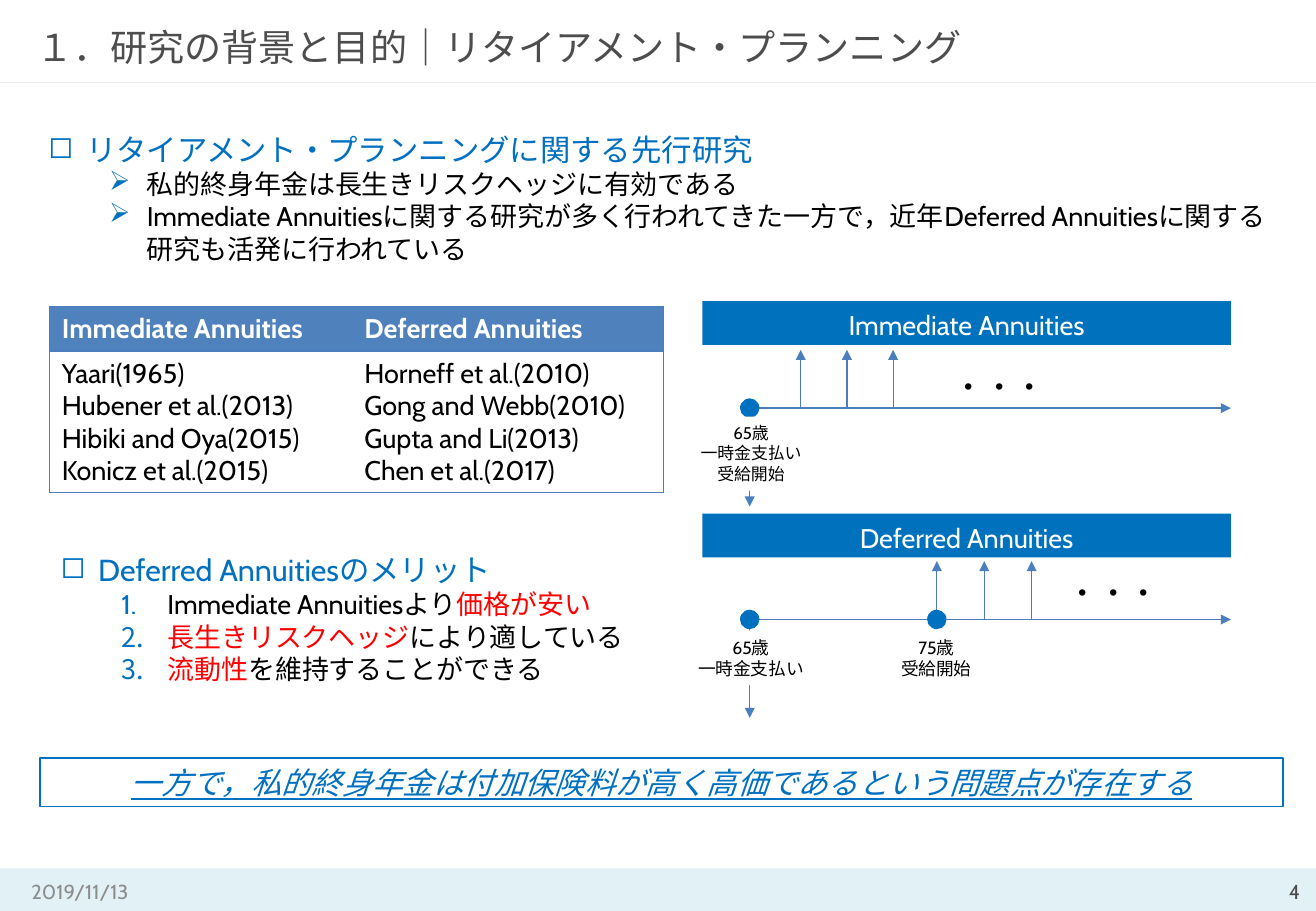
"""Build the slide on retirement planning and its two kinds of annuities."""
import pptx
import pptx.dml.color
import pptx.enum.shapes
import pptx.enum.text
import pptx.oxml
import pptx.oxml.ns
import pptx.util

Inches = pptx.util.Inches
Pt = pptx.util.Pt
SHAPE = pptx.enum.shapes.MSO_SHAPE
ALIGN = pptx.enum.text.PP_ALIGN
ANCHOR = pptx.enum.text.MSO_ANCHOR
NS = pptx.oxml.ns.nsdecls("a")

COLORS = {
    "blue": "0070C0", "bar": "0071BC", "line": "4B7EBC", "header": "4F81BD",
    "title": "4D4D4D", "date": "8C8C8C", "rule": "EAEAEA", "footer": "DBEEF4",
    "red": "FF0000", "black": "000000", "white": "FFFFFF",
}
BOX = {"word_wrap": True, "vertical_anchor": ANCHOR.TOP}
FLAT = {"margin_left": 0, "margin_right": 0, "margin_top": 0, "margin_bottom": 0,
        "vertical_anchor": ANCHOR.MIDDLE}
BAR = {**FLAT, "margin_top": Inches(0.06), "margin_bottom": Inches(0.03)}
SQUARE = ('<a:buChar char="◻"/>', 0.31, 0.31)
ARROW = ('<a:buChar char="➢"/>', 0.81, 0.31)
NUMBER = ('<a:buAutoNum type="arabicPeriod"/>', 0.88, 0.38)


def rgb(name):
    return pptx.dml.color.RGBColor.from_string(COLORS[name])


def apply(obj, values):
    for name, value in values.items():
        setattr(obj, name, value)


def add_xml(parent, xml):
    element = pptx.oxml.parse_xml(xml)
    parent.append(element)
    return element


def add_bullet(p, bullet):
    mark, left, hang = bullet
    pPr = p._p.get_or_add_pPr()
    pPr.set("marL", str(Inches(left)))
    pPr.set("indent", str(-Inches(hang)))
    add_xml(pPr, f'<a:buClr {NS}><a:srgbClr val="{COLORS["blue"]}"/></a:buClr>')
    add_xml(pPr, mark.replace(" ", f" {NS} ", 1))


def write(tf, paragraphs, size, color="black", align=ALIGN.LEFT, frame=BOX, **font):
    """Fill a frame with paragraphs, each a string or a list of (text, colour) runs."""
    apply(tf, {**BOX, **frame})
    for i, runs in enumerate(paragraphs):
        p = tf.paragraphs[0] if i == 0 else tf.add_paragraph()
        p.alignment = align
        add_runs(p, [(runs, color)] if isinstance(runs, str) else runs, size, **font)


def add_runs(p, runs, size, **font):
    for text, color in runs:
        r = p.add_run()
        r.text = text
        apply(r.font, {"name": "Cabin", "size": Pt(size), **font})
        r.font.color.rgb = rgb(color)


def add_text(s, box, paragraphs, size, **style):
    sp = s.shapes.add_textbox(*map(Inches, box))
    write(sp.text_frame, paragraphs, size, **style)


def add_list(s, box, items):
    """Add a bulleted list of (bullet, size, runs) items."""
    tf = s.shapes.add_textbox(*map(Inches, box)).text_frame
    apply(tf, BOX)
    for i, (bullet, size, runs) in enumerate(items):
        p = tf.paragraphs[0] if i == 0 else tf.add_paragraph()
        add_bullet(p, bullet)
        add_runs(p, runs, size)


def add_shape(s, kind, box, fill=None, line=None):
    sp = s.shapes.add_shape(kind, *map(Inches, box))
    sp.shadow.inherit = False
    if fill:
        sp.fill.solid()
        sp.fill.fore_color.rgb = rgb(fill)
    else:
        sp.fill.background()
    if line:
        sp.line.color.rgb = rgb(line)
        sp.line.width = Pt(0.75)
    else:
        sp.line.fill.background()
    return sp


def add_line(s, x1, y1, x2, y2, color="line", arrow=True):
    straight = pptx.enum.shapes.MSO_CONNECTOR.STRAIGHT
    cn = s.shapes.add_connector(straight, *map(Inches, (x1, y1, x2, y2)))
    cn.line.color.rgb = rgb(color)
    cn.line.width = Pt(0.75)
    if arrow:
        add_xml(cn.line._get_or_add_ln(), f'<a:tailEnd {NS} type="triangle"/>')
    add_xml(cn._element.spPr, f"<a:effectLst {NS}/>")


def add_dot(s, x, y):
    add_shape(s, SHAPE.OVAL, (x - 0.08, y - 0.08, 0.16, 0.16), "blue")


def add_timeline(s, name, bar_top, axis, payouts, dots, label, label_box, size):
    """Add a titled time axis with payment arrows and a label at its start."""
    add_line(s, 6.17, axis, 6.17, axis + 0.81)
    add_line(s, 6.09, axis, 10.13, axis)
    add_dot(s, 6.17, axis)
    first, step = payouts
    for i in range(3):
        x = first + i * step
        add_line(s, x, axis, x, axis - 0.48)
    add_text(s, (*dots, 0.96, 0.4), ["・・・"], 18)
    sp = add_shape(s, SHAPE.RECTANGLE, label_box, "white")
    write(sp.text_frame, label, size, align=ALIGN.CENTER)
    sp = add_shape(s, SHAPE.RECTANGLE, (5.78, bar_top, 4.35, 0.36), "bar")
    write(sp.text_frame, [name], 16, "white", ALIGN.CENTER, BAR)
    sp.text_frame.paragraphs[0].space_after = Pt(4.5)


def add_cell_border(cell, sides):
    tcPr = cell._tc.get_or_add_tcPr()
    fill = f'<a:solidFill><a:srgbClr val="{COLORS["line"]}"/></a:solidFill>'
    for i, side in enumerate("LRTB"):
        body = fill if side in sides else "<a:noFill/>"
        tcPr.insert(i, pptx.oxml.parse_xml(f'<a:ln{side} {NS} w="9525">{body}</a:ln{side}>'))


def add_studies(s):
    columns = {
        "Immediate Annuities": ["Yaari(1965)", "Hubener et al.(2013)",
                                "Hibiki and Oya(2015)", "Konicz et al.(2015)"],
        "Deferred Annuities": ["Horneff et al.(2010)", "Gong and Webb(2010)",
                               "Gupta and Li(2013)", "Chen et al.(2017)"],
    }
    table = s.shapes.add_table(2, 2, *map(Inches, (0.41, 2.52, 5.05, 1.53))).table
    for row, height in zip(table.rows, (0.37, 1.16)):
        row.height = Inches(height)
    for c, (name, studies) in enumerate(columns.items()):
        table.columns[c].width = Inches((2.49, 2.56)[c])
        for r, lines in enumerate(([name], studies)):
            cell = table.cell(r, c)
            cell.fill.solid()
            cell.fill.fore_color.rgb = rgb(("header", "white")[r])
            write(cell.text_frame, lines, 16, ("white", "black")[r], frame={}, bold=r == 0)
            add_cell_border(cell, "LR"[c] + ("T", "TB")[r])


def add_frame(s):
    sp = add_shape(s, SHAPE.RECTANGLE, (0, 7.15, 10.83, 0.35), "footer")
    color = sp._element.spPr.find(".//" + pptx.oxml.ns.qn("a:srgbClr"))
    add_xml(color, f'<a:alpha {NS} val="80000"/>')
    add_line(s, 0, 0.68, 10.83, 0.68, "rule", arrow=False)
    add_text(s, (0.16, 7.23, 2.44, 0.22), ["2019/11/13"], 12, color="date",
             frame={"vertical_anchor": ANCHOR.MIDDLE})
    add_text(s, (8.17, 7.24, 2.53, 0.2), ["4"], 12, color="title", align=ALIGN.RIGHT, frame=FLAT)
    title = s.shapes.title
    apply(title, dict(zip(("left", "top", "width", "height"),
                          map(Inches, (0.3, 0.17, 10.24, 0.43)))))
    write(title.text_frame, ["１．研究の背景と目的｜リタイアメント・プランニング"], 22, "title", frame=FLAT)


def main():
    prs = pptx.Presentation()
    prs.slide_width, prs.slide_height = Inches(10.83), Inches(7.5)
    s = prs.slides.add_slide(prs.slide_layouts[5])
    add_frame(s)
    add_list(s, (0.3, 1.03, 10.24, 1.25), [
        (SQUARE, 18, [("リタイアメント・プランニングに関する先行研究", "blue")]),
        (ARROW, 16, [("私的終身年金は長生きリスクヘッジに有効である", "black")]),
        (ARROW, 16, [("Immediate Annuitiesに関する研究が多く行われてきた一方で，"
                      "近年Deferred Annuitiesに関する研究も活発に行われている", "black")]),
    ])
    add_studies(s)
    add_list(s, (0.4, 4.49, 5.1, 1.21), [
        (SQUARE, 18, [("Deferred Annuitiesのメリット", "blue")]),
        (NUMBER, 16, [("Immediate Annuitiesより", "black"), ("価格が安い", "red")]),
        (NUMBER, 16, [("長生きリスクヘッジ", "red"), ("により適している", "black")]),
        (NUMBER, 16, [("流動性", "red"), ("を維持することができる", "black")]),
    ])
    add_timeline(s, "Immediate Annuities", 2.48, 3.36, (6.59, 0.38), (7.75, 2.98),
                 ["65歳", "一時金支払い", "受給開始"], (5.64, 3.43, 1.08, 0.61), 10)
    add_timeline(s, "Deferred Annuities", 4.23, 5.1, (7.71, 0.39), (8.69, 4.68),
                 ["65歳", "一時金支払い"], (5.64, 5.19, 1.08, 0.45), 10.5)
    add_dot(s, 7.71, 5.1)
    add_text(s, (7.31, 5.19, 0.79, 0.45), ["75歳", "受給開始"], 10.5, align=ALIGN.CENTER)
    sp = add_shape(s, SHAPE.RECTANGLE, (0.33, 6.24, 10.23, 0.4), line="blue")
    write(sp.text_frame, ["一方で，私的終身年金は付加保険料が高く高価であるという問題点が存在する"],
          18, "blue", ALIGN.CENTER, italic=True, underline=True)
    prs.save("out.pptx")


if __name__ == "__main__":
    main()
